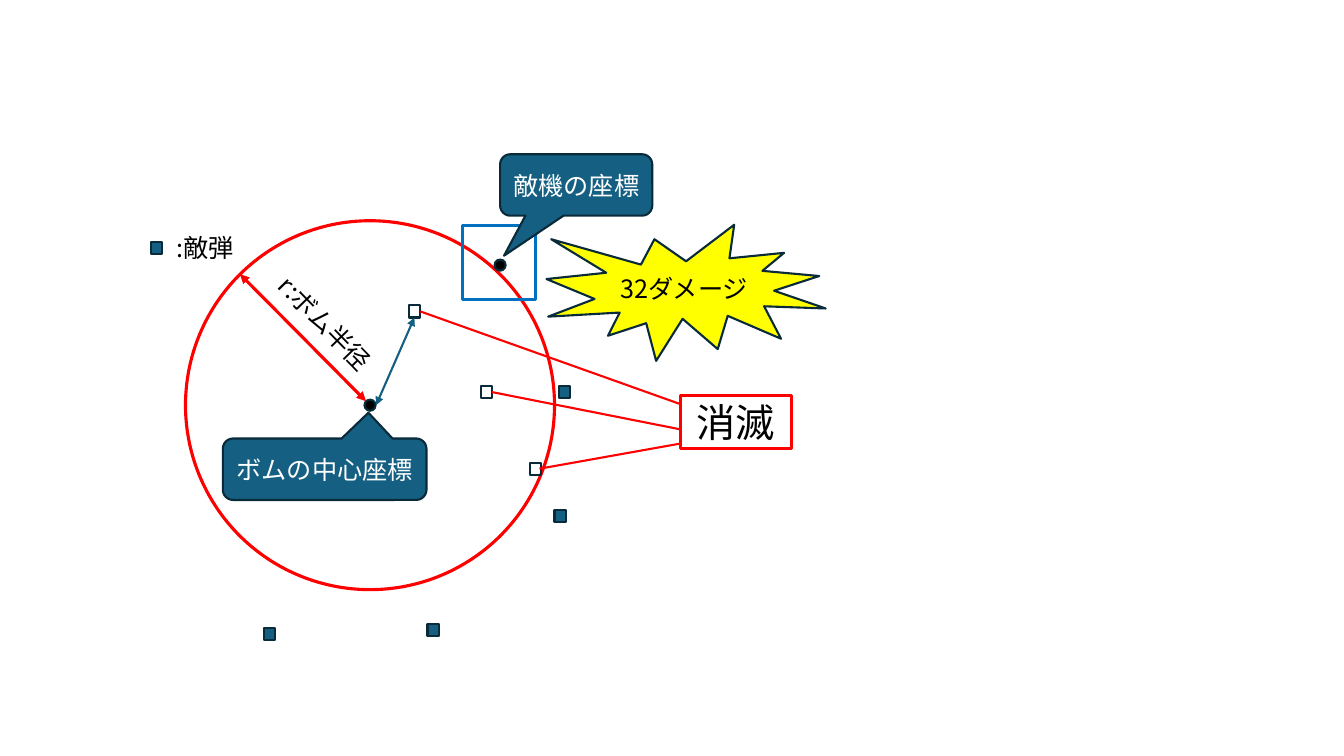
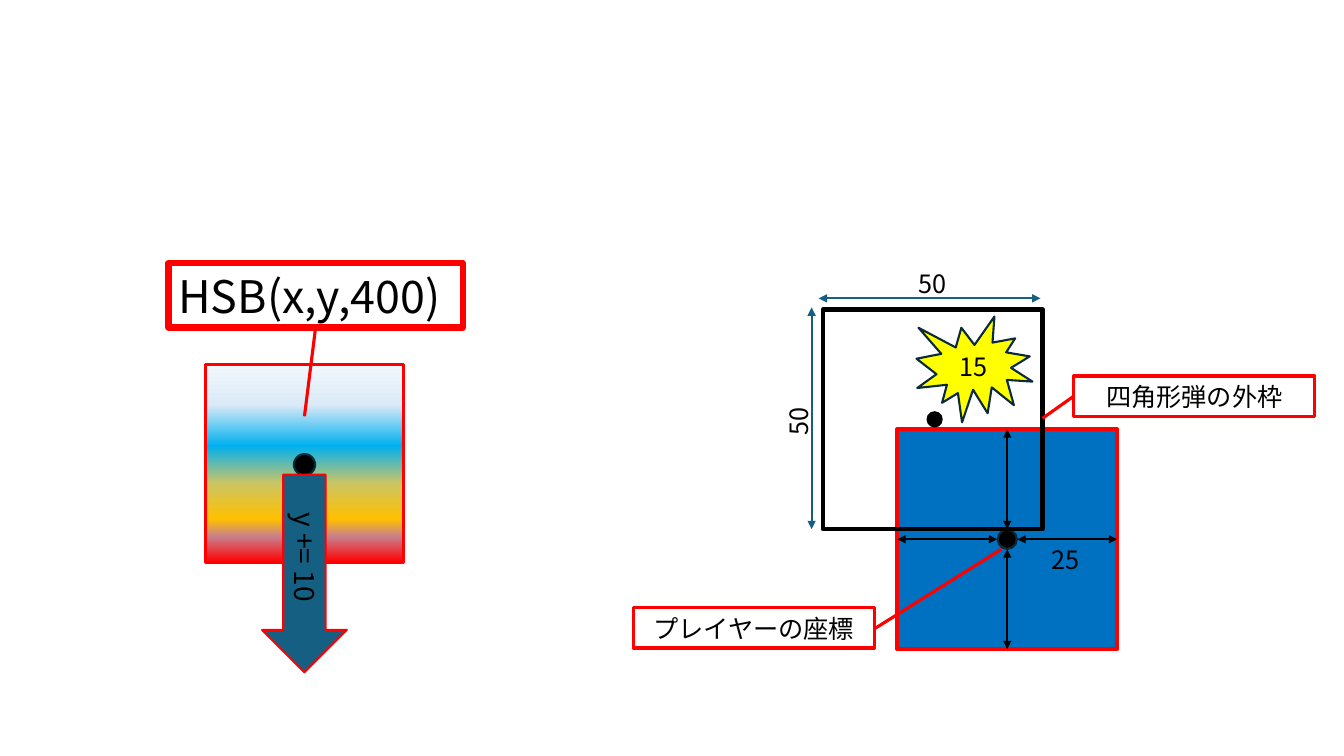
"""Draw two slides that explain bomb range, bullet colour and hit boxes."""
from dataclasses import dataclass
from typing import Any

from lxml import etree
from pptx import Presentation
from pptx.dml.color import RGBColor
from pptx.enum import shapes, text
from pptx.oxml import ns
from pptx.util import Inches, Pt

RED = RGBColor(0xFF, 0x00, 0x00)
BLUE = RGBColor(0x00, 0x70, 0xC0)
TEAL = RGBColor(0x15, 0x60, 0x82)
DARK = RGBColor(0x09, 0x2A, 0x39)
BLACK = RGBColor(0x00, 0x00, 0x00)
WHITE = RGBColor(0xFF, 0xFF, 0xFF)
YELLOW = RGBColor(0xFF, 0xFF, 0x00)
SKY_STOPS = [
    (0, RGBColor(0xF0, 0xF8, 0xFD)),
    (20, RGBColor(0xDC, 0xEA, 0xF7)),
    (41, RGBColor(0x00, 0xB0, 0xF0)),
    (60, RGBColor(0xCC, 0xC5, 0x64)),
    (78, RGBColor(0xFF, 0xC0, 0x00)),
    (87, RGBColor(0xC8, 0x7F, 0x8D)),
    (100, RED),
]
FONT = "Noto Sans CJK JP"
PRESET = shapes.MSO_SHAPE
CENTER = text.PP_ALIGN.CENTER
LEFT = text.PP_ALIGN.LEFT


def add_xml(parent, tag, **attributes):
    """Append a drawing element and return it."""
    return etree.SubElement(parent, ns.qn(tag), attributes)


def write(shape, words, size=18, color=BLACK, align=CENTER, wrap=False):
    """Put one formatted line of text into a shape."""
    frame = shape.text_frame
    frame.word_wrap = wrap
    para = frame.paragraphs[0]
    para.alignment = align
    span = para.add_run()
    span.text = words
    span.font.size = Pt(size)
    span.font.name = FONT
    span.font.color.rgb = color
    add_xml(span.font._element, "a:ea", typeface=FONT)


def fill_gradient(shape, stops):
    """Fill a shape from top to bottom with the given colour stops."""
    shape.fill.gradient()
    gradient = shape._element.spPr.find(ns.qn("a:gradFill"))
    for child in list(gradient):
        gradient.remove(child)
    stop_list = add_xml(gradient, "a:gsLst")
    for percent, color in stops:
        stop = add_xml(stop_list, "a:gs", pos=str(percent * 1000))
        add_xml(stop, "a:srgbClr", val=str(color))
    add_xml(gradient, "a:lin", ang="5400000", scaled="0")


@dataclass
class Region:
    """Hold a shape collection and the corner its parts are measured from."""
    items: Any
    left: float
    top: float

    def group(self):
        """Return a region of the same corner inside a new group."""
        return Region(self.items.add_group_shape().shapes, self.left, self.top)

    def shape(self, preset, x, y, width, height, fill=None, line=DARK, weight=1.5):
        """Add a preset shape with a flat fill and outline."""
        shape = self.items.add_shape(preset, Inches(self.left + x), Inches(self.top + y),
                                     Inches(width), Inches(height))
        shape.shadow.inherit = False
        if fill is None:
            shape.fill.background()
        else:
            shape.fill.solid()
            shape.fill.fore_color.rgb = fill
        shape.line.color.rgb = line
        shape.line.width = Pt(weight)
        return shape

    def dot(self, x, y, size, line=DARK):
        """Add a black dot centred on a point."""
        self.shape(PRESET.OVAL, x - size / 2, y - size / 2, size, size, BLACK, line)

    def label(self, words, x, y, width, height=0.4, rotation=0, size=18):
        """Add a free line of text."""
        box = self.items.add_textbox(Inches(self.left + x), Inches(self.top + y),
                                     Inches(width), Inches(height))
        write(box, words, size, align=LEFT)
        box.text_frame.auto_size = text.MSO_AUTO_SIZE.SHAPE_TO_FIT_TEXT
        box.rotation = rotation

    def boxed(self, words, x, y, width, height, weight=2.25, **style):
        """Add text in a red frame."""
        box = self.shape(PRESET.RECTANGLE, x, y, width, height, line=RED, weight=weight)
        write(box, words, **style)

    def callout(self, words, x, y, width, tip):
        """Add a teal speech bubble whose tip is given as shares of its size."""
        bubble = self.shape(PRESET.ROUNDED_RECTANGULAR_CALLOUT, x, y, width, 0.61, TEAL)
        bubble.adjustments[0], bubble.adjustments[1] = tip
        write(bubble, words, color=WHITE)

    def burst(self, words, x, y, width, height):
        """Add a yellow explosion with a damage figure."""
        write(self.shape(PRESET.EXPLOSION1, x, y, width, height, YELLOW), words)

    def line(self, start, end, color=RED, weight=2.25, arrows=False):
        """Add a straight line, with arrowheads at both ends on request."""
        (x1, y1), (x2, y2) = start, end
        line = self.items.add_connector(
            shapes.MSO_CONNECTOR.STRAIGHT, Inches(self.left + x1), Inches(self.top + y1),
            Inches(self.left + x2), Inches(self.top + y2))
        line.line.color.rgb = color
        line.line.width = Pt(weight)
        if arrows:
            outline = line.line._get_or_add_ln()
            for tag in ("a:headEnd", "a:tailEnd"):
                add_xml(outline, tag, type="triangle")
        add_xml(line._element.spPr, "a:effectLst")


def draw_bomb(region):
    """Draw the bomb circle, the enemy and the bullets it clears."""
    center_x, center_y, radius = 2.17, 2.52, 1.83
    region.shape(PRESET.OVAL, center_x - radius, center_y - radius,
                 2 * radius, 2 * radius, line=RED, weight=2.25)
    region.shape(PRESET.RECTANGLE, 3.09, 0.74, 0.72, 0.73, line=BLUE, weight=2.25)
    region.dot(3.46, 1.13, 0.11)
    region.callout("敵機の座標", 3.46, 0.03, 1.51, (-0.474, 1.151))
    region.dot(center_x, center_y, 0.11)
    region.callout("ボムの中心座標", 0.71, 2.85, 2.02, (0.215, -0.919))
    region.line((2.13, 2.48), (0.88, 1.22), arrows=True)
    region.label("r:ボム半径", 1.03, 1.53, 1.44, rotation=45.7)

    live = [(4, 3.56), (4.04, 2.33), (2.74, 4.69), (1.12, 4.73), (0, 0.9)]
    cleared = [(3.27, 2.33), (3.76, 3.09), (2.56, 1.53)]
    for bullets, fill in ((live, TEAL), (cleared, None)):
        for x, y in bullets:
            region.shape(PRESET.RECTANGLE, x, y, 0.11, 0.12, fill)
    region.label(":敵弾", 0.15, 0.76, 0.87)

    for start, end_y in (((2.67, 1.59), 2.51), ((3.38, 2.39), 2.76), ((3.85, 3.15), 2.9)):
        region.line(start, (5.25, end_y), weight=1.5)
    region.boxed("消滅", 5.25, 2.42, 1.1, 0.53, size=28)
    region.line((2.23, 2.52), (2.61, 1.65), TEAL, 1.5, arrows=True)
    region.burst("32ダメージ", 3.92, 0.73, 2.77, 1.35)


def draw_color_bullet(region):
    """Draw the falling square with its colour rule."""
    square = region.shape(PRESET.RECTANGLE, 0.37, 1.01, 1.96, 1.96, line=RED, weight=2.25)
    fill_gradient(square, SKY_STOPS)
    region.dot(1.35, 2, 0.21)
    region.shape(PRESET.DOWN_ARROW, 0.93, 2.1, 0.84, 1.96, TEAL, RED)
    region.label("y += 10", 0.74, 2.77, 1.23, 0.44, rotation=90, size=20)
    region.line((1.35, 1.52), (1.46, 0.64))
    region.boxed("HSB(x,y,400)", 0, 0, 2.92, 0.64, weight=4.5,
                 size=32, align=LEFT, wrap=True)


def draw_player(region, x, y, side):
    """Draw the player square around its centre point."""
    half, gap = side / 2, 0.1
    region.shape(PRESET.RECTANGLE, x - half, y - half, side, side, BLUE, RED, 3)
    region.dot(x, y, 0.19)
    for dx, dy in ((-1, 0), (0, 1), (1, 0), (0, -1)):
        region.line((x + gap * dx, y + gap * dy), (x + half * dx, y + half * dy),
                    BLACK, 1.5, arrows=True)
    region.label("25", x + 0.34, y, 0.57)


def draw_bullet_frame(region, x, y, side):
    """Draw the square bullet with its measured sides."""
    region.shape(PRESET.RECTANGLE, x, y, side, side, line=BLACK, weight=3)
    region.dot(x + 1.11, y + 1.09, 0.14, BLACK)
    region.line((x - 0.11, y + side), (x - 0.11, y - 0.02), TEAL, 1.5, arrows=True)
    region.label("50", x - 0.5, y + 0.89, 0.51, rotation=270)
    region.line((x - 0.04, y - 0.11), (x + side - 0.02, y - 0.11), TEAL, 1.5, arrows=True)
    region.label("50", x + 0.85, y - 0.46, 0.51)


def draw_collision(region):
    """Draw the player, the bullet that hits it and their labels."""
    draw_player(region, 3.71, 2.74, 2.18)
    draw_bullet_frame(region.group(), 1.88, 0.46, 2.18)
    region.line((3.65, 2.84), (2.39, 3.63))
    region.boxed("プレイヤーの座標", 0, 3.42, 2.39, 0.4)
    region.line((4.06, 1.54), (4.37, 1.32))
    region.boxed("四角形弾の外枠", 4.37, 1.12, 2.39, 0.4)
    region.burst("15", 2.81, 0.53, 1.15, 1.05)


def main():
    """Build and save the deck."""
    deck = Presentation()
    deck.slide_width, deck.slide_height = Inches(13.33), Inches(7.5)
    bomb_page, hit_page = (deck.slides.add_slide(deck.slide_layouts[6]) for _ in range(2))
    draw_bomb(Region(bomb_page.shapes, 1.5, 1.5))
    draw_color_bullet(Region(hit_page.shapes, 1.67, 2.61))
    draw_collision(Region(hit_page.shapes, 6.28, 2.61))
    deck.save("out.pptx")


if __name__ == "__main__":
    main()
